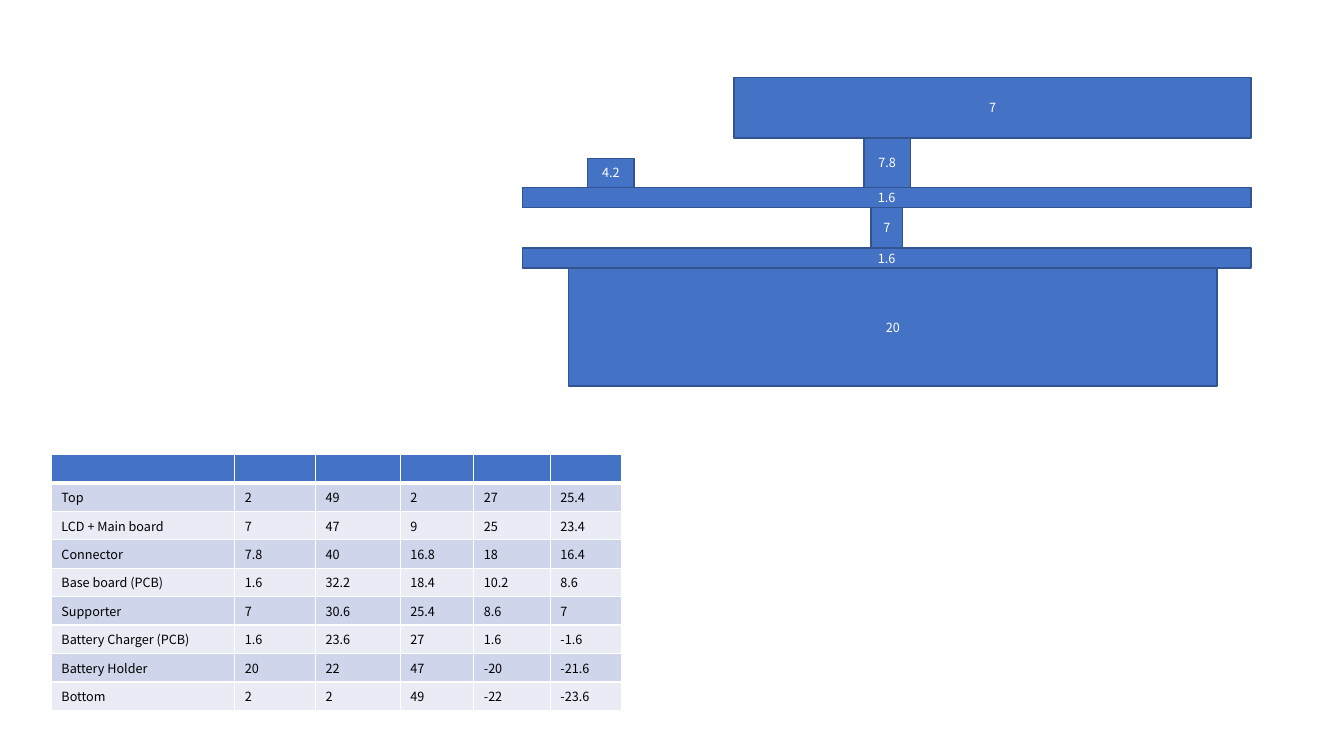
from lxml.etree import SubElement
from pptx import Presentation
from pptx.dml.color import RGBColor
from pptx.enum.shapes import MSO_SHAPE as Preset
from pptx.enum.text import MSO_ANCHOR as Anchor, PP_ALIGN as Align
from pptx.oxml.ns import qn
from pptx.util import Inches, Pt

COLORS = {
    "blue": "4472C4",
    "outline": "325491",
    "band_dark": "CFD5EA",
    "band_light": "E9EBF5",
    "white": "FFFFFF",
    "black": "000000",
}
FONT = "Noto Sans CJK KR"
FONT_SIZE = Pt(9)


def add_text(paragraph, text, color):
    run = paragraph.add_run()
    run.text = text
    run.font.name = FONT
    run.font.size = FONT_SIZE
    run.font.color.rgb = RGBColor.from_string(COLORS[color])


def set_border(cell, side, width):
    properties = cell._tc.get_or_add_tcPr()
    line = SubElement(properties, qn(f"a:{side}"), w=str(Pt(width)))
    fill = SubElement(line, qn("a:solidFill"))
    SubElement(fill, qn("a:srgbClr"), val=COLORS["white"])


presentation = Presentation()
presentation.slide_width = Inches(13.33)
presentation.slide_height = Inches(7.5)
slide = presentation.slides.add_slide(presentation.slide_layouts[6])

# Stack of parts from the battery holder upwards: label, left, width, height
stack = [
    ("20", 5.64, 6.43, 1.17),
    ("1.6", 5.18, 7.23, 0.2),
    ("7", 8.64, 0.31, 0.4),
    ("1.6", 5.18, 7.23, 0.2),
    ("7.8", 8.57, 0.46, 0.49),
    ("7", 7.28, 5.13, 0.6),
]
blocks = []
top = 3.83
for label, left, width, height in stack:
    top -= height
    blocks.append((label, left, top, width, height))

# Small component standing on the base board
base_board_top = blocks[3][2]
blocks.append(("4.2", 5.83, base_board_top - 0.29, 0.46, 0.29))

for label, *box in blocks:
    shape = slide.shapes.add_shape(Preset.RECTANGLE, *map(Inches, box))
    shape.shadow.inherit = False
    shape.fill.solid()
    shape.fill.fore_color.rgb = RGBColor.from_string(COLORS["blue"])
    shape.line.color.rgb = RGBColor.from_string(COLORS["outline"])
    shape.line.width = Pt(1)
    shape.text_frame.vertical_anchor = Anchor.MIDDLE
    paragraph = shape.text_frame.paragraphs[0]
    paragraph.alignment = Align.CENTER
    add_text(paragraph, label, "white")

# Table of part heights, under an empty header row
rows = [
    ("", "", "", "", "", ""),
    ("Top", "2", "49", "2", "27", "25.4"),
    ("LCD + Main board", "7", "47", "9", "25", "23.4"),
    ("Connector", "7.8", "40", "16.8", "18", "16.4"),
    ("Base board (PCB)", "1.6", "32.2", "18.4", "10.2", "8.6"),
    ("Supporter", "7", "30.6", "25.4", "8.6", "7"),
    ("Battery Charger (PCB)", "1.6", "23.6", "27", "1.6", "-1.6"),
    ("Battery Holder", "20", "22", "47", "-20", "-21.6"),
    ("Bottom", "2", "2", "49", "-22", "-23.6"),
]
column_widths = [1.82, 0.8, 0.84, 0.73, 0.76, 0.71]
row_height = 0.28
table = slide.shapes.add_table(
    len(rows), len(column_widths), Inches(0.51), Inches(4.51),
    Inches(sum(column_widths)), Inches(row_height * len(rows)),
).table
for column, width in zip(table.columns, column_widths):
    column.width = Inches(width)

for row_index, values in enumerate(rows):
    table.rows[row_index].height = Inches(row_height)
    if row_index == 0:
        fill_color = "blue"
    else:
        fill_color = "band_dark" if row_index % 2 else "band_light"
    for column_index, value in enumerate(values):
        cell = table.cell(row_index, column_index)
        set_border(cell, "lnL", 1)
        set_border(cell, "lnR", 1)
        set_border(cell, "lnT", 3 if row_index == 1 else 1)
        set_border(cell, "lnB", 3 if row_index == 0 else 1)
        cell.fill.solid()
        cell.fill.fore_color.rgb = RGBColor.from_string(COLORS[fill_color])
        paragraph = cell.text_frame.paragraphs[0]
        if value:
            add_text(paragraph, value, "black")
        else:
            # Keep the empty header cells as low as the other rows
            end = SubElement(paragraph._p, qn("a:endParaRPr"), sz="900")
            SubElement(end, qn("a:latin"), typeface=FONT)

presentation.save("out.pptx")
